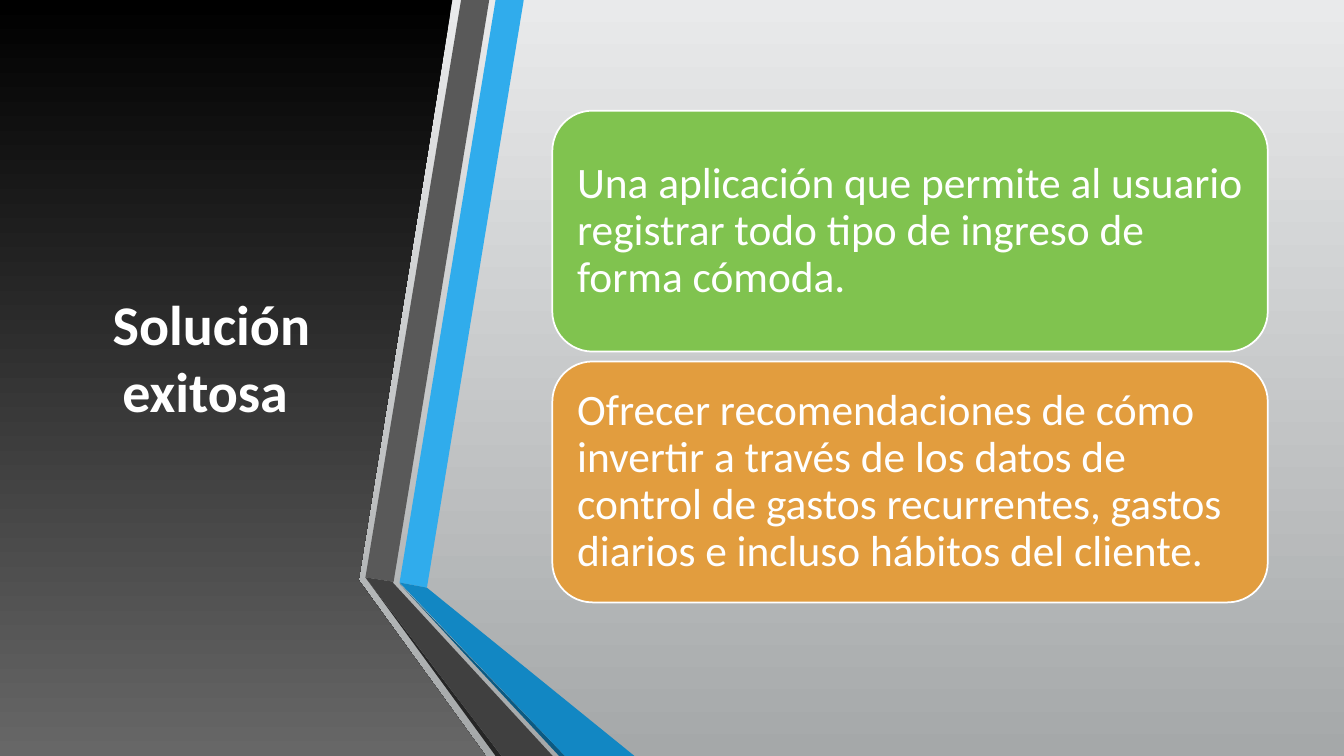
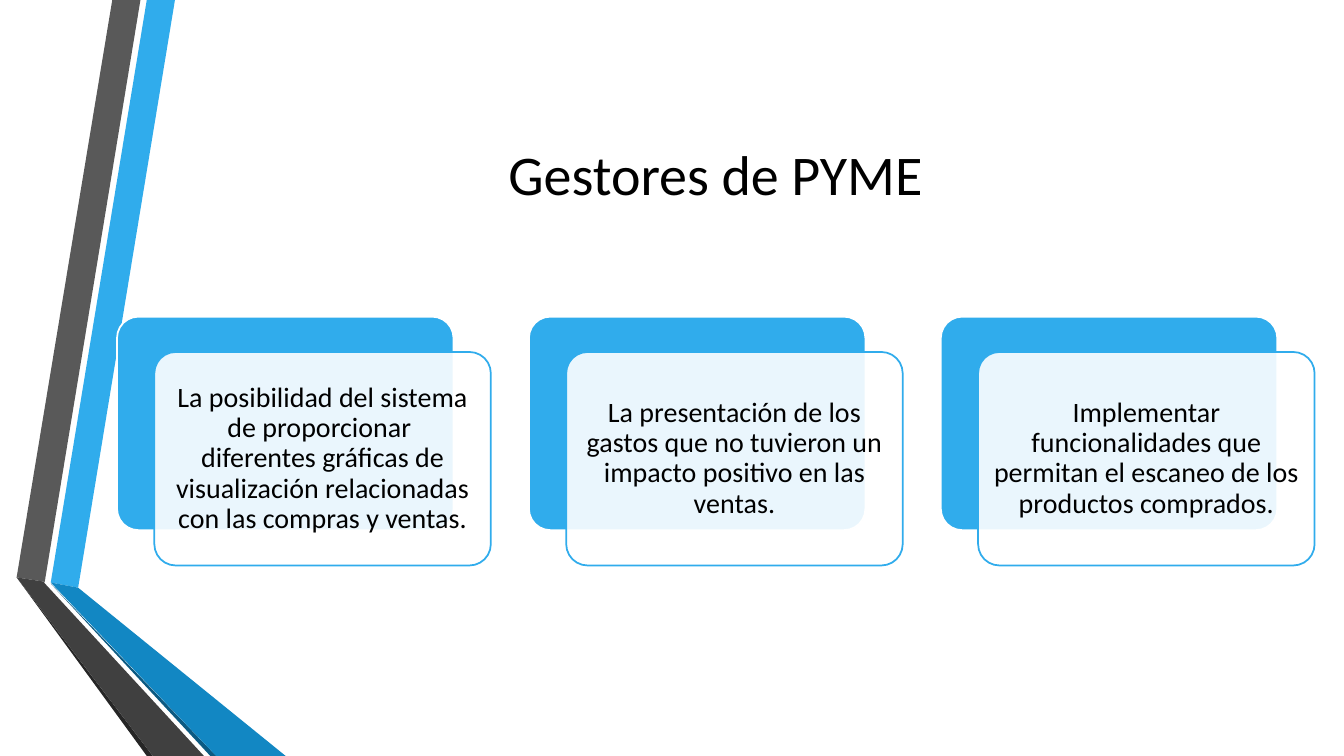
from lxml import etree
from pptx import Presentation
from pptx.dml.color import RGBColor
from pptx.enum.shapes import MSO_SHAPE
from pptx.enum.text import MSO_ANCHOR, PP_ALIGN
from pptx.oxml.ns import qn
from pptx.util import Cm, Pt

ROUNDED = MSO_SHAPE.ROUNDED_RECTANGLE
MIDDLE = MSO_ANCHOR.MIDDLE
LEFT, CENTER = PP_ALIGN.LEFT, PP_ALIGN.CENTER

WHITE = RGBColor(0xFF, 0xFF, 0xFF)
BLACK = RGBColor(0x00, 0x00, 0x00)
BLUE = RGBColor(0x30, 0xAC, 0xEC)
BLUE_FOLD = RGBColor(0x12, 0x87, 0xC3)
BLUE_SHADE = RGBColor(0x0C, 0x5A, 0x82)
GRAY = RGBColor(0x59, 0x59, 0x59)
GRAY_FOLD = RGBColor(0x40, 0x40, 0x40)
GRAY_SHADE = RGBColor(0x26, 0x26, 0x26)
PANEL_BOTTOM = RGBColor(0x67, 0x67, 0x67)
BACKGROUND_TOP = RGBColor(0xE9, 0xEA, 0xEB)
BACKGROUND_BOTTOM = RGBColor(0xA5, 0xA8, 0xA9)
GREEN = RGBColor(0x80, 0xC3, 0x4F)
ORANGE = RGBColor(0xE2, 0x9D, 0x3E)

FONT = "Calibri"
WIDTH, HEIGHT = 33.87, 19.05

# Folded ribbon, in cm from its left edge and the top of the slide
RIBBON = [
    (BLUE, [(0.86, 14.68), (1.55, 14.81), (3.99, 0), (3.28, 0)]),
    (GRAY, [(3.12, 0), (2.41, 0), (0, 14.55), (0.71, 14.66)]),
    (GRAY_SHADE, [(0, 14.55), (3.28, HEIGHT), (3.43, HEIGHT)]),
    (BLUE_SHADE, [(0.86, 14.71), (4.88, HEIGHT), (5.03, HEIGHT)]),
    (BLUE_FOLD, [(0.86, 14.68), (5.03, HEIGHT), (6.78, HEIGHT), (1.55, 14.81)]),
    (GRAY_FOLD, [(4.72, HEIGHT), (0.81, 14.81), (0.69, 14.68), (0.71, 14.66),
                 (0, 14.55), (3.43, HEIGHT)]),
]
PANEL = [(0, 0), (11.4, 0), (9.04, 14.62), (12.24, HEIGHT), (0, HEIGHT)]

SOLUTIONS = [
    (GREEN, "Una aplicación que permite al usuario registrar todo tipo de "
            "ingreso de forma cómoda."),
    (ORANGE, "Ofrecer recomendaciones de cómo invertir a través de los datos de "
             "control de gastos recurrentes, gastos diarios e incluso hábitos "
             "del cliente."),
]
FEATURES = [
    "La posibilidad del sistema de proporcionar\u00a0 diferentes gráficas de "
    "visualización relacionadas con las compras y ventas.",
    "La presentación de los gastos que no tuvieron un impacto positivo en las "
    "ventas.",
    "Implementar funcionalidades que permitan el escaneo de los productos "
    "comprados.",
]


def fill_gradient(fill, top_color, bottom_color):
    fill.gradient()
    fill.gradient_angle = 270
    for stop, color in zip(fill.gradient_stops, (top_color, bottom_color)):
        stop.color.rgb = color


def add_outline(slide, points, left=0):
    """Closed, lineless outline through points given in cm."""
    corners = [(Cm(left + x), Cm(y)) for x, y in points]
    builder = slide.shapes.build_freeform(*corners[0], scale=1.0)
    builder.add_line_segments(corners[1:], close=True)
    shape = builder.convert_to_shape()
    shape.shadow.inherit = False
    shape.line.fill.background()
    return shape


def add_ribbon(slide, left):
    for color, points in RIBBON:
        shape = add_outline(slide, points, left)
        shape.fill.solid()
        shape.fill.fore_color.rgb = color


def format_text(frame, text, size, color, alignment, bold=False):
    frame.text = text
    frame.word_wrap = True
    frame.vertical_anchor = MIDDLE
    paragraph = frame.paragraphs[0]
    paragraph.alignment = alignment
    font = paragraph.font
    font.name, font.size, font.bold = FONT, Pt(size), bold
    font.color.rgb = color
    return paragraph


def add_title(slide, text, box, color, bold=False):
    title = slide.shapes.title
    title.left, title.top, title.width, title.height = map(Cm, box)
    format_text(title.text_frame, text, 40, color, CENTER, bold)
    # Bring the title in front of the decoration
    title.element.getparent().append(title.element)


def add_card(slide, box, fill_color, line_color, corner):
    card = slide.shapes.add_shape(ROUNDED, *map(Cm, box))
    card.adjustments[0] = corner
    card.shadow.inherit = False
    card.fill.solid()
    card.fill.fore_color.rgb = fill_color
    card.line.color.rgb = line_color
    card.line.width = Pt(1.25)
    return card


def write_on_card(card, text, size, color, alignment, margin):
    frame = card.text_frame
    frame.margin_left = frame.margin_right = Cm(margin)
    frame.margin_top = frame.margin_bottom = Cm(margin)
    format_text(frame, text, size, color, alignment).line_spacing = 0.9


def add_solution_cards(slide, box):
    """Cards stacked from top to bottom."""
    left, top, width, height = box
    gap = 0.25
    card_height = (height - gap * (len(SOLUTIONS) - 1)) / len(SOLUTIONS)
    for row, (color, text) in enumerate(SOLUTIONS):
        card_top = top + row * (card_height + gap)
        card = add_card(slide, (left, card_top, width, card_height),
                        color, WHITE, 0.1667)
        write_on_card(card, text, 31, WHITE, LEFT, 0.33)


def add_feature_cards(slide, box):
    """Side by side pairs: a blue card and a translucent one in front of it."""
    left, top, width, height = box
    shift_x, shift_y, gap = 0.94, 0.89, 0.96
    pair_width = (width - gap * (len(FEATURES) - 1)) / len(FEATURES)
    card_width, card_height = pair_width - shift_x, height - shift_y
    for column, text in enumerate(FEATURES):
        x = left + column * (pair_width + gap)
        add_card(slide, (x, top, card_width, card_height), BLUE, WHITE, 0.1)
        front = add_card(slide, (x + shift_x, top + shift_y, card_width, card_height),
                         WHITE, BLUE, 0.1)
        fill_color = front.element.spPr.find(qn("a:solidFill"))[0]
        etree.SubElement(fill_color, qn("a:alpha")).set("val", "90000")
        write_on_card(front, text, 20, BLACK, CENTER, 0.2)


def build_solution_slide(slide):
    fill_gradient(slide.background.fill, BACKGROUND_TOP, BACKGROUND_BOTTOM)
    panel = add_outline(slide, PANEL)
    fill_gradient(panel.fill, BLACK, PANEL_BOTTOM)
    add_title(slide, "\u00a0Solución exitosa", (1.5, 1.91, 7.34, 14.17), WHITE, bold=True)
    add_ribbon(slide, 9.21)
    add_solution_cards(slide, (13.92, 2.79, 18.03, 12.39))


def build_features_slide(slide):
    add_ribbon(slide, 0.42)
    add_title(slide, "Gestores de PYME", (4.11, 1.91, 27.84, 4.88), BLACK)
    add_feature_cards(slide, (2.95, 7.98, 30.18, 6.27))


presentation = Presentation()
presentation.slide_width, presentation.slide_height = Cm(WIDTH), Cm(HEIGHT)
title_only = presentation.slide_layouts[5]
for build_slide in (build_solution_slide, build_features_slide):
    build_slide(presentation.slides.add_slide(title_only))
presentation.save("out.pptx")
